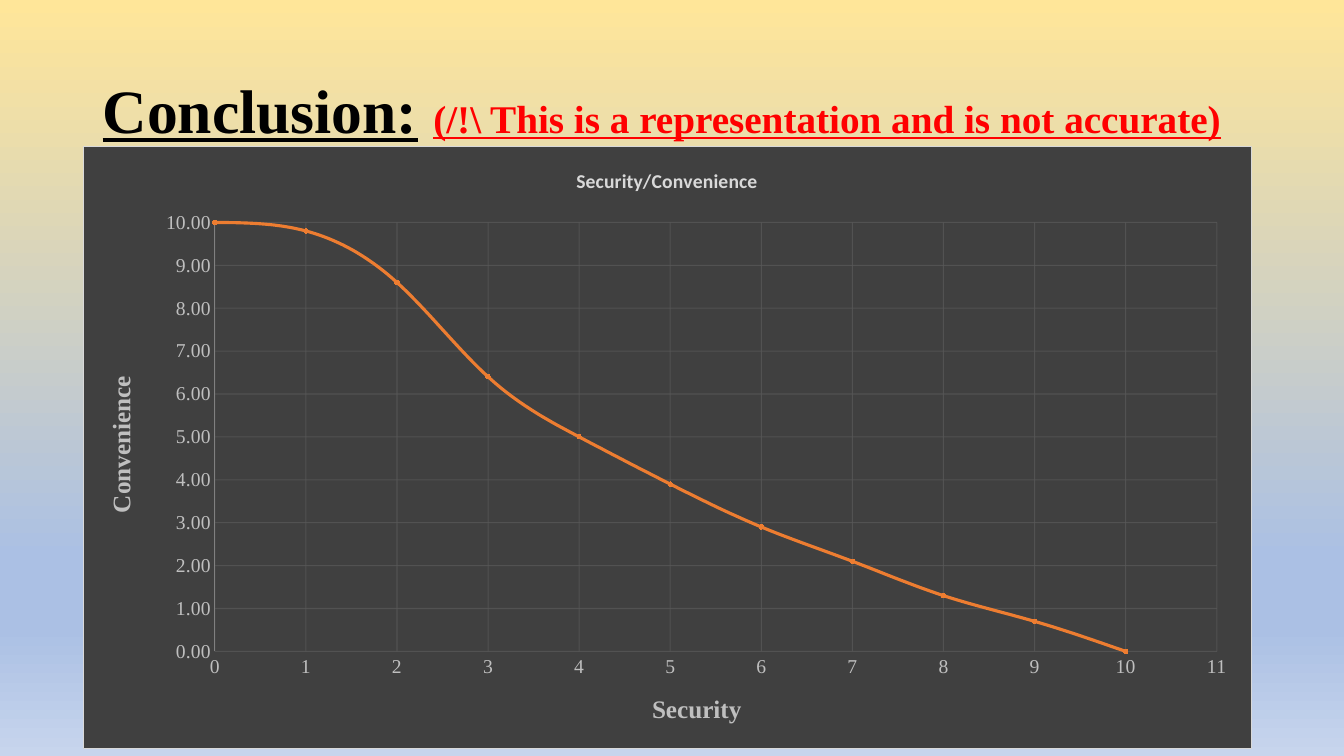
from copy import deepcopy

from lxml import etree
from pptx import Presentation, util as u
from pptx.chart.data import XyChartData
from pptx.dml.color import RGBColor
from pptx.enum import chart as c, text
from pptx.oxml.ns import qn

WIDTH, HEIGHT = u.Inches(13.33), u.Inches(7.5)
SERIF = "Times New Roman"
BACKGROUND = [(0, "FFE699"), (0.74, "ABC0E4"), (0.83, "ABC0E4"), (1, "C7D5ED")]
CONVENIENCE = [10, 9.8, 8.6, 6.4, 5, 3.9, 2.9, 2.1, 1.3, 0.7, 0]
TITLE_RUNS = [
    ("Conclusion:", 44, "000000", True),
    (" ", 44, "000000", False),
    ("(/!\\ This is a representation and is not accurate)", 28, "FF0000", True),
]


def rgb(value):
    """Turn a hex string into a colour."""
    return RGBColor.from_string(value)


def share(left, top, width, height):
    """Turn percentages of the slide into a position and a size."""
    return [round(part * side / 100) for part, side in
            zip((left, top, width, height), (WIDTH, HEIGHT) * 2)]


def style_font(font, size, color, name, bold=False, underline=None):
    """Set the look of a font."""
    font.size, font.name, font.bold = u.Pt(size), name, bold
    font.underline = underline
    font.color.rgb = rgb(color)


def style_line(line, color, width):
    """Give a line its colour and width."""
    line.color.rgb = rgb(color)
    line.width = u.Pt(width)


def paint_background(slide, stops):
    """Fill the background with a gradient running down the slide."""
    fill = slide.background.fill
    fill.gradient()
    fill.gradient_angle = 270
    stop_list = slide.element.find(".//" + qn("a:gsLst"))
    while len(stop_list) < len(stops):
        stop_list.append(deepcopy(stop_list[0]))
    for stop, (position, color) in zip(fill.gradient_stops, stops):
        stop.position = position
        stop.color.rgb = rgb(color)


def add_heading(slide, runs, area):
    """Add the heading line, run by run."""
    frame = slide.shapes.add_textbox(*share(*area)).text_frame
    frame.word_wrap = True
    frame.vertical_anchor = text.MSO_ANCHOR.MIDDLE
    paragraph = frame.paragraphs[0]
    paragraph.line_spacing = 0.9
    for wording, size, color, underline in runs:
        run = paragraph.add_run()
        run.text = wording
        style_font(run.font, size, color, SERIF, True, underline)


def place(element, follower, inner=False, **percentages):
    """Lay out a chart part by hand, ahead of the following tag."""
    for old in element.findall(qn("c:layout")):
        element.remove(old)
    layout = etree.Element(qn("c:layout"))
    manual = etree.SubElement(layout, qn("c:manualLayout"))
    if inner:
        etree.SubElement(manual, qn("c:layoutTarget"), val="inner")
    for side in ("x", "y"):
        etree.SubElement(manual, qn(f"c:{side}Mode"), val="edge")
    for side, value in percentages.items():
        etree.SubElement(manual, qn(f"c:{side}"), val=str(value / 100))
    element.find(qn(follower)).addprevious(layout)


def add_title(title, wording, size, color, name, x, y):
    """Write a chart or axis title at a place in the chart."""
    run = title.text_frame.paragraphs[0].add_run()
    run.text = wording
    style_font(run.font, size, color, name, True)
    place(title._element, "c:overlay", x=x, y=y)


def style_axis(axis, maximum, number_format):
    """Set the scale, labels and grid of an axis."""
    axis.minimum_scale, axis.maximum_scale, axis.major_unit = 0, maximum, 1
    axis.major_tick_mark = axis.minor_tick_mark = c.XL_TICK_MARK.NONE
    axis.tick_labels.number_format = number_format
    axis.tick_labels.number_format_is_linked = False
    style_font(axis.tick_labels.font, 14, "BFBFBF", SERIF)
    axis.has_major_gridlines = True
    gridlines = axis.major_gridlines.format.line
    style_line(gridlines, "595959", 0.75)
    color = axis._element.find(qn("c:majorGridlines")).find(".//" + qn("a:srgbClr"))
    etree.SubElement(color, qn("a:alpha"), val="75000")


def paint_chart_area(chart, fill, border):
    """Give the whole chart a fill and a thin border."""
    properties = etree.Element(qn("c:spPr"))
    solid = etree.SubElement(properties, qn("a:solidFill"))
    etree.SubElement(solid, qn("a:srgbClr"), val=fill)
    line = etree.SubElement(properties, qn("a:ln"), w=str(u.Pt(0.75)))
    solid = etree.SubElement(line, qn("a:solidFill"))
    etree.SubElement(solid, qn("a:srgbClr"), val=border)
    chart._chartSpace.find(qn("c:chart")).addnext(properties)


def style_curve(plot, color):
    """Draw the plot's series as a smooth line with small round markers."""
    plot.vary_by_categories = False
    series = plot.series[0]
    series._element.find(qn("c:smooth")).set("val", "1")
    style_line(series.format.line, color, 2.25)
    marker = series.marker
    marker.style, marker.size = c.XL_MARKER_STYLE.CIRCLE, 3
    marker.format.fill.solid()
    marker.format.fill.fore_color.rgb = rgb(color)
    style_line(marker.format.line, color, 0.75)


def add_curve(slide, values, color, area):
    """Add the smooth curve of convenience against security."""
    data = XyChartData()
    points = data.add_series("Series 1")
    for security, convenience in enumerate(values):
        points.add_data_point(security, convenience)
    chart = slide.shapes.add_chart(
        c.XL_CHART_TYPE.XY_SCATTER_SMOOTH, *share(*area), data).chart
    chart.has_legend = False
    style_font(chart.font, 10, "000000", "Calibri")
    paint_chart_area(chart, "404040", "D9D9D9")

    security_axis, convenience_axis = chart.category_axis, chart.value_axis
    style_axis(security_axis, 11, "General")
    style_axis(convenience_axis, 10, "0.00")
    security_axis.format.line.fill.background()
    style_line(convenience_axis.format.line, "808080", 0.75)
    add_title(chart.chart_title, "Security/Convenience", 14, "D9D9D9", "Calibri",
              41.9, 2.8)
    add_title(security_axis.axis_title, "Security", 18, "BFBFBF", SERIF, 48.3, 90.2)
    add_title(convenience_axis.axis_title, "Convenience", 18, "BFBFBF", SERIF,
              1.5, 37.4)
    place(chart._chartSpace.find(".//" + qn("c:plotArea")), "c:scatterChart",
          inner=True, x=11.27, y=12.6, w=85.75, h=71.3)
    style_curve(chart.plots[0], color)


def main():
    """Build the slide and save it."""
    presentation = Presentation()
    presentation.slide_width, presentation.slide_height = WIDTH, HEIGHT
    slide = presentation.slides.add_slide(presentation.slide_layouts[6])
    paint_background(slide, BACKGROUND)
    add_heading(slide, TITLE_RUNS, (6.9, 5.33, 86.27, 19.33))
    add_curve(slide, CONVENIENCE, "ED7D31", (6.15, 19.33, 87.02, 79.73))
    presentation.save("out.pptx")


if __name__ == "__main__":
    main()
